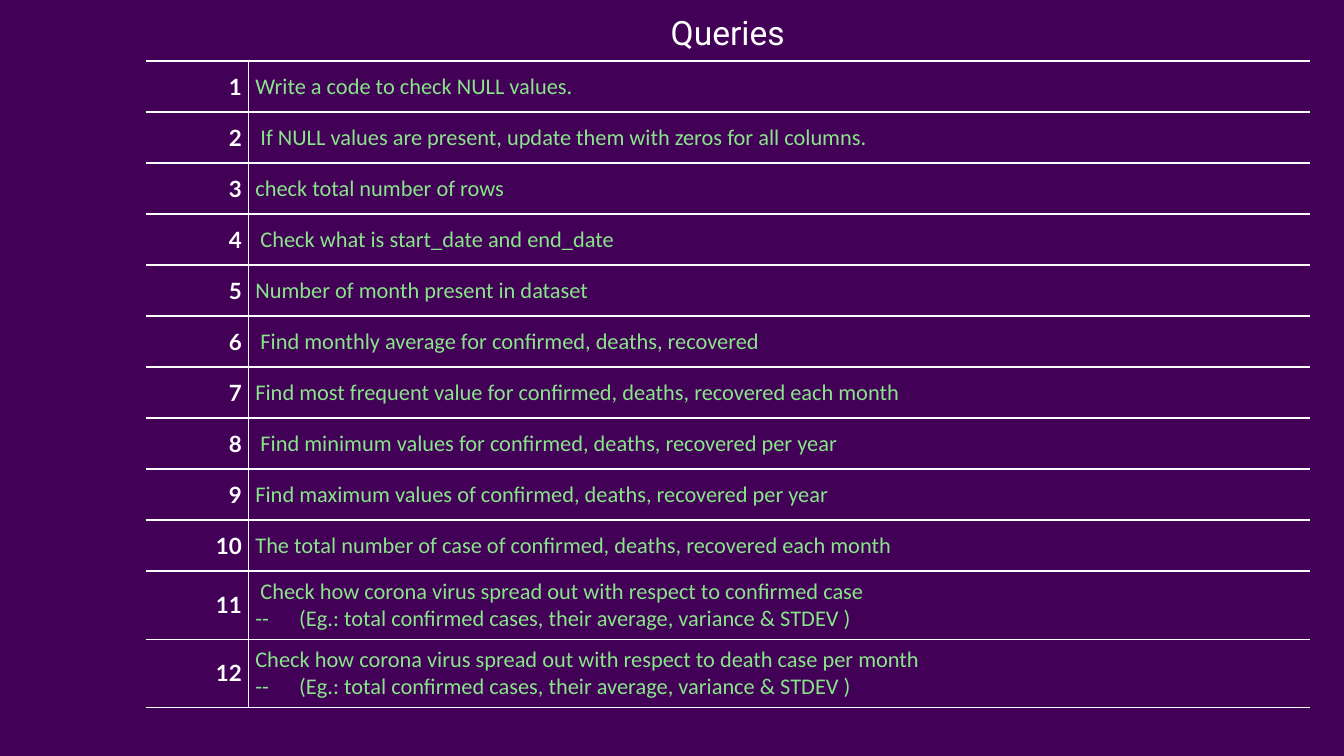
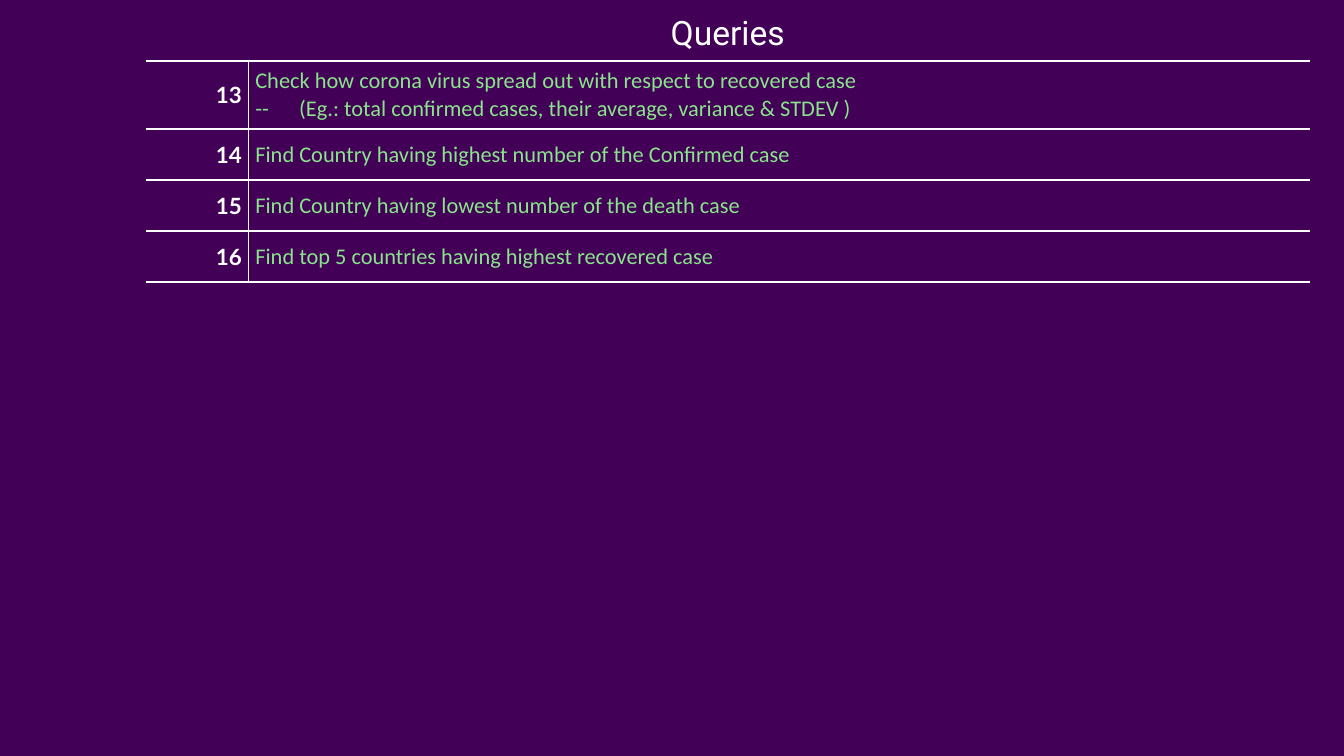
from lxml.etree import SubElement
from pptx import Presentation
from pptx.dml.color import RGBColor
from pptx.enum.text import MSO_ANCHOR as ANCHOR, PP_ALIGN as ALIGN
from pptx.oxml.ns import qn
from pptx.util import Pt

PURPLE = RGBColor(0x43, 0x00, 0x57)
WHITE = RGBColor(0xFF, 0xFF, 0xFF)
GREEN = RGBColor(0x88, 0xE5, 0x89)

ROW_H, TITLE_H, DOUBLE_H = 27.35, 28.7, 36.4
STATS = "--\t(Eg.: total confirmed cases, their average, variance & STDEV )"
QUERIES = [
    [
        ["Write a code to check NULL values."],
        [" If NULL values are present, update them with zeros for all columns."],
        ["check total number of rows"],
        [" Check what is start_date and end_date"],
        ["Number of month present in dataset"],
        [" Find monthly average for confirmed, deaths, recovered"],
        ["Find most frequent value for confirmed, deaths, recovered each month"],
        [" Find minimum values for confirmed, deaths, recovered per year"],
        ["Find maximum values of confirmed, deaths, recovered per year"],
        ["The total number of case of confirmed, deaths, recovered each month"],
        [" Check how corona virus spread out with respect to confirmed case", STATS],
        ["Check how corona virus spread out with respect to death case per month", STATS],
    ],
    [
        ["Check how corona virus spread out with respect to recovered case", STATS],
        ["Find Country having highest number of the Confirmed case"],
        ["Find Country having lowest number of the death case"],
        ["Find top 5 countries having highest recovered case"],
    ],
]


def format_cell(cell, sides):
    cell.margin_left = cell.margin_right = Pt(3.6)
    cell.margin_top = cell.margin_bottom = Pt(3.6)
    tcPr = cell._tc.get_or_add_tcPr()
    for side in "LRTB":
        ln = SubElement(tcPr, qn(f"a:ln{side}"), w=str(Pt(0.75)))
        if side in sides:
            fill = SubElement(ln, qn("a:solidFill"))
            SubElement(fill, qn("a:srgbClr"), val=str(WHITE))
        else:
            SubElement(ln, qn("a:noFill"))
    cell.fill.background()


def write_cell(cell, lines, font, size, color, bold=False, align=ALIGN.LEFT, anchor=ANCHOR.MIDDLE):
    cell.vertical_anchor = anchor
    tf = cell.text_frame
    for i, line in enumerate(lines):
        p = tf.add_paragraph() if i else tf.paragraphs[0]
        p.alignment = align
        if "\t" in line:
            tabs = SubElement(p._p.get_or_add_pPr(), qn("a:tabLst"))
            SubElement(tabs, qn("a:tab"), pos=str(Pt(23.5)), algn="l")
        r = p.add_run()
        r.text = line
        r.font.name = font
        r.font.size = Pt(size)
        r.font.bold = bold
        r.font.color.rgb = color


prs = Presentation()
prs.slide_width, prs.slide_height = Pt(720), Pt(405)
bg = prs.slide_master.background.fill
bg.solid()
bg.fore_color.rgb = PURPLE

number = 1
for queries in QUERIES:
    s = prs.slides.add_slide(prs.slide_layouts[6])
    rows = len(queries) + 1
    frame = s.shapes.add_table(rows, 2, Pt(78), Pt(4.3), Pt(624), Pt(ROW_H * rows))
    table = frame.table
    table.first_row = table.horz_banding = False
    table.columns[0].width, table.columns[1].width = Pt(55.2), Pt(568.6)
    for row in table.rows:
        row.height = Pt(ROW_H)
    frame.height = Pt(TITLE_H + sum(DOUBLE_H if len(q) > 1 else ROW_H for q in queries))

    title = table.cell(0, 0)
    title.merge(table.cell(0, 1))
    for col in range(2):
        format_cell(table.cell(0, col), "B")
    write_cell(title, ["Queries"], "Roboto", 18, WHITE, align=ALIGN.CENTER, anchor=ANCHOR.BOTTOM)

    for row, lines in enumerate(queries, 1):
        num, query = table.cell(row, 0), table.cell(row, 1)
        format_cell(num, "RTB")
        format_cell(query, "LTB")
        write_cell(num, [str(number)], "Lato", 12, WHITE, bold=True, align=ALIGN.RIGHT)
        write_cell(query, lines, "Calibri", 12, GREEN)
        number += 1

prs.save("out.pptx")
